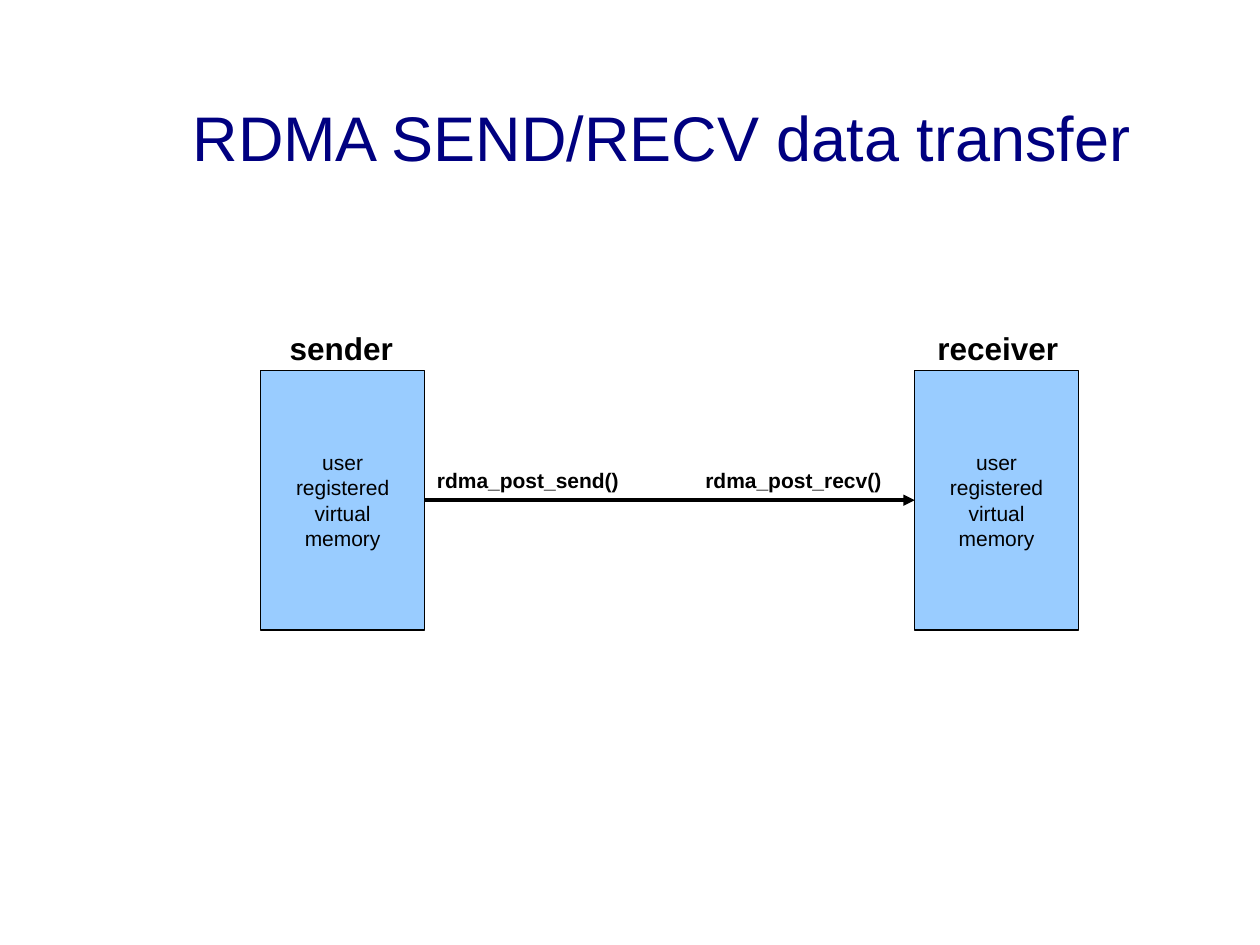
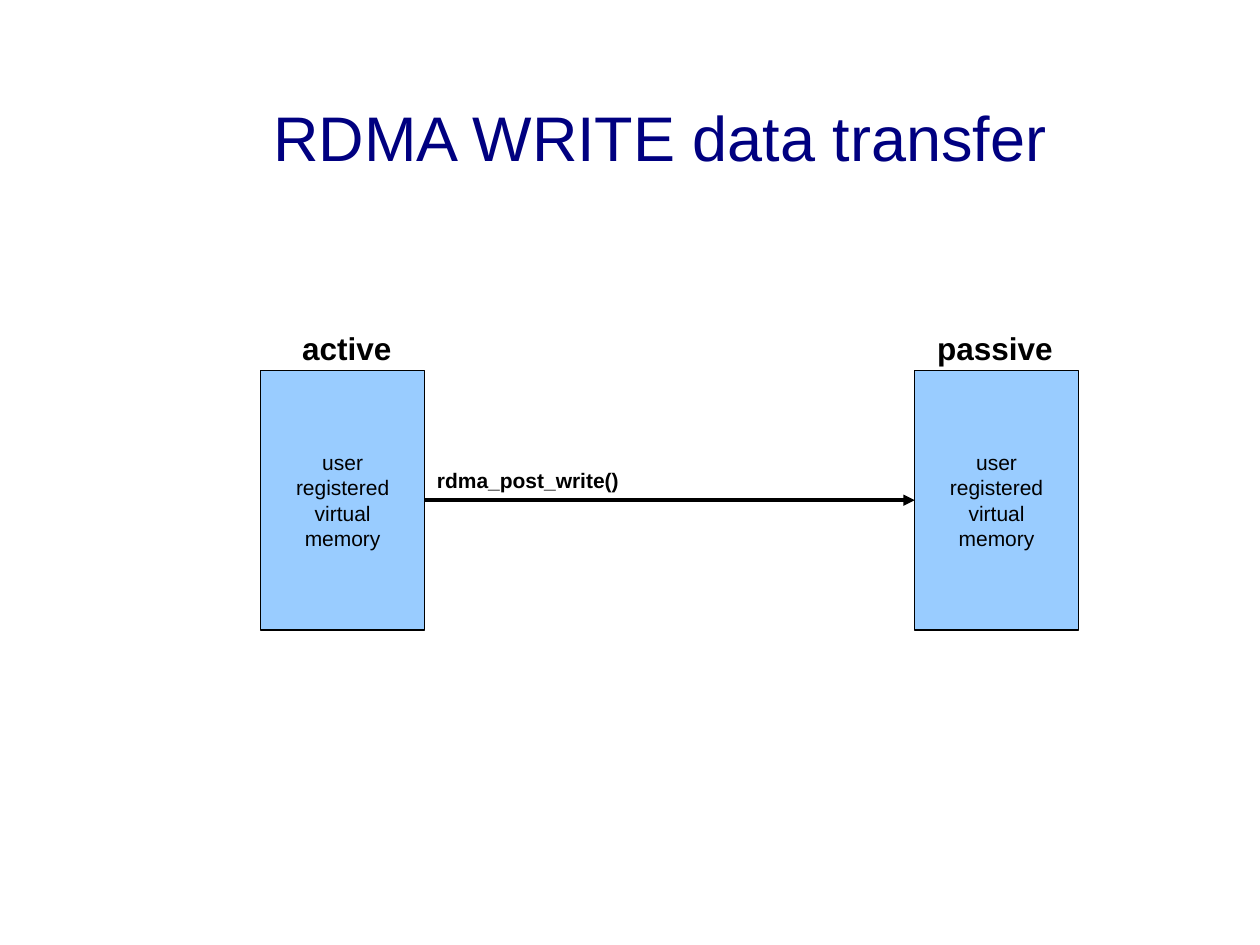
from pptx import Presentation
from pptx.dml.color import RGBColor
from pptx.enum.shapes import MSO_CONNECTOR, MSO_SHAPE
from pptx.enum.text import MSO_ANCHOR, PP_ALIGN
from pptx.oxml.ns import qn
from pptx.util import Inches, Pt
from lxml import etree

RECTANGLE = MSO_SHAPE.RECTANGLE
STRAIGHT = MSO_CONNECTOR.STRAIGHT
MIDDLE = MSO_ANCHOR.MIDDLE
LEFT, CENTER = PP_ALIGN.LEFT, PP_ALIGN.CENTER
LEFT_SIDE, RIGHT_SIDE = 1, 3

COLORS = {"title": "000080", "ink": "000000", "memory": "99CCFF"}
FONT = "Arial"
PAGE_WIDTH, PAGE_HEIGHT = 10, 7.5
MEMORY_TEXT = "user\nregistered\nvirtual\nmemory"
MEMORY_LEFTS = (2.07, 7.26)
MEMORY_TOP, MEMORY_WIDTH, MEMORY_HEIGHT = 2.94, 1.3, 2.06
ROLE_TOP, CALL_TOP, TITLE_TOP = 2.56, 3.66, 0.73

TRANSFERS = [
    {
        "title": ("RDMA SEND/RECV data transfer", 1.43),
        "calls": [("rdma_post_send()", 3.37, 2.13), ("rdma_post_recv()", 5.5, 2.07)],
        "roles": [("sender", 2.2, 1.32), ("receiver", 7.34, 1.49)],
    },
    {
        "title": ("RDMA WRITE data transfer", 2.07),
        "calls": [("rdma_post_write()", 3.37, 2.13)],
        "roles": [("active", 2.3, 1.17), ("passive", 7.34, 1.44)],
    },
]


def color(name):
    return RGBColor.from_string(COLORS[name])


class TransferDeck:
    def __init__(self):
        self.deck = Presentation()
        self.deck.slide_width = Inches(PAGE_WIDTH)
        self.deck.slide_height = Inches(PAGE_HEIGHT)
        self.page = None

    def add_page(self):
        self.page = self.deck.slides.add_slide(self.deck.slide_layouts[6])

    def set_text(self, shape, text, size, bold=False, ink="ink", align=LEFT):
        frame = shape.text_frame
        frame.word_wrap = True
        frame.text = text
        for para in frame.paragraphs:
            para.alignment = align
            for span in para.runs:
                span.font.name = FONT
                span.font.size = Pt(size)
                span.font.bold = bold
                span.font.color.rgb = color(ink)

    def label(self, text, left, top, width, height, size, bold=True, ink="ink"):
        box = self.page.shapes.add_textbox(
            Inches(left), Inches(top), Inches(width), Inches(height))
        self.set_text(box, text, size, bold, ink)

    def title(self, text, left):
        self.label(text, left, TITLE_TOP, PAGE_WIDTH - left, 0.7, 36, False, "title")

    def memory(self, left):
        block = self.page.shapes.add_shape(
            RECTANGLE, Inches(left), Inches(MEMORY_TOP),
            Inches(MEMORY_WIDTH), Inches(MEMORY_HEIGHT))
        block.shadow.inherit = False
        block.fill.solid()
        block.fill.fore_color.rgb = color("memory")
        block.line.color.rgb = color("ink")
        block.line.width = Pt(0.75)
        block.text_frame.vertical_anchor = MIDDLE
        self.set_text(block, MEMORY_TEXT, 12, align=CENTER)
        return block

    def arrow(self, source, target):
        arrow = self.page.shapes.add_connector(STRAIGHT, 0, 0, 0, 0)
        arrow.begin_connect(source, RIGHT_SIDE)
        arrow.end_connect(target, LEFT_SIDE)
        arrow.line.color.rgb = color("ink")
        arrow.line.width = Pt(2.15)
        properties = arrow._element.spPr
        etree.SubElement(properties.find(qn("a:ln")), qn("a:tailEnd"), type="triangle")
        etree.SubElement(properties, qn("a:effectLst"))

    def transfer(self, title, calls, roles):
        self.add_page()
        source, target = [self.memory(left) for left in MEMORY_LEFTS]
        self.arrow(source, target)
        for text, left, width in calls:
            self.label(text, left, CALL_TOP, width, 0.3, 12)
        for text, left, width in roles:
            self.label(text, left, ROLE_TOP, width, 0.4, 18)
        self.title(*title)


def main():
    slides = TransferDeck()
    for transfer in TRANSFERS:
        slides.transfer(**transfer)
    slides.deck.save("out.pptx")


if __name__ == "__main__":
    main()
